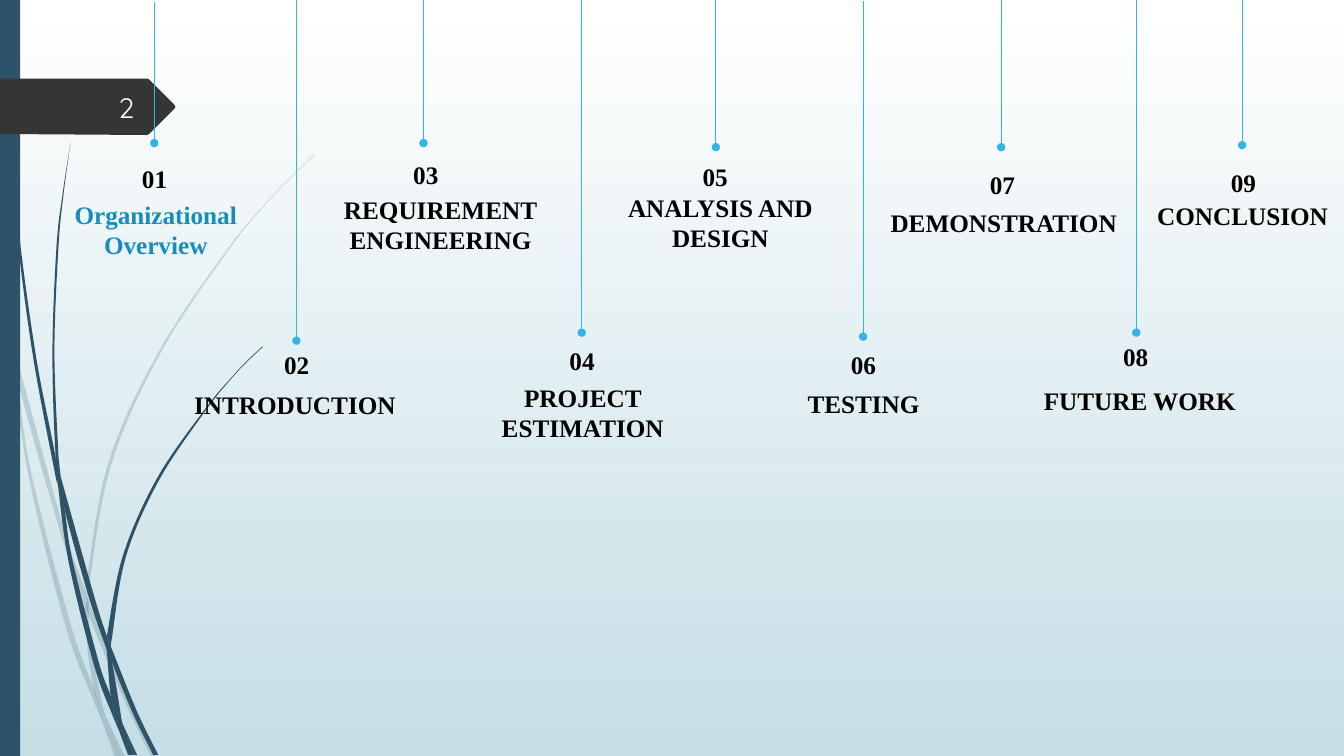
from lxml import etree
from pptx import Presentation
from pptx import util as u
from pptx.dml.color import RGBColor
from pptx.enum import shapes, text
from pptx.oxml import ns

HUES = {"top": "FFFFFF", "base": "C5DEE5", "navy": "2E5369", "tag": "353535",
        "pin": "31B4E6", "title": "178DBB", "ink": "000000", "page": "FEFFFF"}
SERIF = "Times New Roman"

PALE = [
    [[(.11, 3.5), (.09, 3.22), (0, 2.82)], [(0, 2.99), (.1, 3.44), (.11, 3.5)]],
    [[(.14, 3.45), (.17, 3.76), (.58, 5.22), (.84, 5.99)], [(.85, 5.86), (.62, 5.2), (.14, 3.45)]],
    [[(.88, 5.96), (.88, 6.1), (1.23, 6.94), (1.5, 7.51)],
     [(1.55, 7.51), (1.27, 6.92), (.92, 6.07), (.88, 5.96)]],
    [[(1.19, 7.51)], [(1.24, 7.51), (1.05, 7.11)]],
    [[(.11, 3.5), (.28, 4.7), (.65, 6.21), (.92, 6.93), (1.01, 7.14)],
     [(.99, 7.07), (.93, 6.83), (.7, 6.19), (.31, 4.69), (.17, 3.76), (.11, 3.5)]],
    [[(.84, 5.99), (.87, 6.46), (.93, 6.83), (.96, 6.92), (1.05, 7.11)],
     [(1.03, 7.06), (.91, 6.46), (.88, 6.1), (.84, 5.99)]],
    [[(3.12, 1.53), (2.89, 1.75), (2.68, 1.97), (2.28, 2.44), (1.58, 3.48), (1.07, 4.61),
      (.85, 5.84)],
     [(.88, 5.96), (.88, 5.84), (1.1, 4.62), (1.6, 3.49), (2.29, 2.45), (2.68, 1.98),
      (2.9, 1.75), (3.12, 1.54)]],
    [[(1.01, 7.14), (1.14, 7.51)], [(1.19, 7.51), (1.01, 7.14)]],
    [[(.85, 5.86), (.84, 5.99), (.88, 6.1)], [(.88, 5.96)]],
    [[(.93, 6.83), (.99, 7.07), (1.01, 7.14), (1.19, 7.51)],
     [(1.19, 7.51), (1.05, 7.11), (.96, 6.92), (.93, 6.83)]],
]
DARK = [
    [[(.03, 0), (.04, .48), (.07, 1.1), (.17, 2.33), (.33, 3.55), (.56, 4.77)],
     [(.57, 4.81), (.55, 4.53), (.36, 3.55), (.19, 2.32), (.08, 1.09), (.05, .48), (.04, 0)]],
    [[(.6, 4.72), (.64, 5.05), (.88, 5.92), (1.06, 6.45)], [(1.06, 6.31), (.93, 5.9), (.6, 4.72)]],
    [[(1.1, 6.41), (1.11, 6.56), (1.32, 7.08), (1.52, 7.49)],
     [(1.57, 7.49), (1.36, 7.06), (1.13, 6.49), (1.1, 6.41)]],
    [[(.57, 4.77), (.68, 5.57), (.93, 6.59), (1.11, 7.08), (1.17, 7.22)],
     [(1.16, 7.17), (1.1, 6.91), (.98, 6.57), (.72, 5.56), (.64, 5.05), (.57, 4.77)]],
    [[(.7, 1.41), (.62, 1.93), (.56, 2.45), (.52, 3.49), (.55, 4.49), (.6, 4.72)],
     [(.58, 4.53), (.54, 3.49), (.58, 2.45), (.63, 1.93), (.7, 1.41)]],
    [[(1.33, 7.49)], [(1.36, 7.49), (1.22, 7.19)]],
    [[(.55, 4.49), (.57, 4.77), (.64, 5.05)], [(.6, 4.72), (.55, 4.49)]],
    [[(2.6, 3.44), (2.45, 3.58), (2.31, 3.73), (2.04, 4.05), (1.56, 4.74), (1.22, 5.51),
      (1.06, 6.31)],
     [(1.1, 6.41), (1.11, 6.33), (1.25, 5.52), (1.58, 4.76), (2.05, 4.06), (2.31, 3.74),
      (2.45, 3.59), (2.61, 3.44)]],
    [[(1.17, 7.22), (1.27, 7.49)], [(1.31, 7.49), (1.17, 7.22)]],
    [[(1.06, 6.45), (1.1, 6.91), (1.16, 7.06), (1.22, 7.19)],
     [(1.21, 7.16), (1.11, 6.56), (1.06, 6.45)]],
    [[(1.06, 6.31), (1.06, 6.45), (1.11, 6.56)], [(1.1, 6.41)]],
    [[(1.1, 6.91), (1.16, 7.17), (1.17, 7.22), (1.3, 7.49)],
     [(1.33, 7.49), (1.22, 7.19), (1.16, 7.06), (1.1, 6.91)]],
]
TAG = [[(0, .78)], [(1.46, .78)], [(1.48, .79)], [(1.73, 1.04), (1.74, 1.06), (1.73, 1.08)],
       [(1.48, 1.33)], [(1.46, 1.34)], [(0, 1.33)]]

STEPS = [
    ("01", 1.53, 1.42, .02, (1.31, 1.57), None, None),
    ("02", 2.94, 3.38, -.03, (2.72, 3.42), "INTRODUCTION", (1.53, 3.49, 2.79, .77)),
    ("03", 4.2, 1.42, -.04, (4, 1.53), "REQUIREMENT\nENGINEERING", (3.2, 1.86, 2.34, .77)),
    ("04", 5.77, 3.3, -.02, (5.55, 3.38), "PROJECT ESTIMATION", (4.46, 3.72, 2.64, .77)),
    ("05", 7.1, 1.46, 0, (6.87, 1.55), "ANALYSIS AND DESIGN", (6.08, 2.19, 2.13, .42)),
    ("06", 8.56, 3.34, .01, (8.34, 3.42), "TESTING", (7.5, 3.83, 2.13, .42)),
    ("07", 9.93, 1.46, 0, (9.72, 1.63), "DEMONSTRATION", (8.61, 2.04, 2.69, .42)),
    ("08", 11.27, 3.3, -.02, (11.04, 3.34), "FUTURE WORK", (10.24, 3.8, 2.13, .42)),
    ("09", 12.32, 1.44, -.02, (12.11, 1.61), "CONCLUSION", (11.26, 1.97, 2.13, .42)),
]


def hue(name):
    """Return a named colour."""
    return RGBColor.from_string(HUES[name])


def inch(box):
    """Turn plain numbers into lengths."""
    return [u.Inches(v) for v in box]


def paint(shape, name, alpha=None):
    """Give a shape a flat fill with no line or shadow."""
    shape.shadow.inherit = False
    shape.line.fill.background()
    shape.fill.solid()
    shape.fill.fore_color.rgb = hue(name)
    if alpha:
        tint = shape._element.spPr.find(".//" + ns.qn("a:srgbClr"))
        etree.SubElement(tint, ns.qn("a:alpha")).set("val", str(alpha * 1000))


def write(shape, words, name="ink", font=SERIF, size=18, bold=True,
          align=text.PP_ALIGN.CENTER, anchor=text.MSO_ANCHOR.BOTTOM, inset=.1):
    """Set and format the text of a shape."""
    frame = shape.text_frame
    frame.text = words
    frame.word_wrap = True
    frame.auto_size = text.MSO_AUTO_SIZE.NONE
    frame.vertical_anchor = anchor
    frame.margin_left = frame.margin_right = u.Inches(.1)
    frame.margin_top = frame.margin_bottom = u.Inches(inset)
    for para in frame.paragraphs:
        para.alignment = align
        for run in para.runs:
            run.font.name, run.font.size, run.font.bold = font, u.Pt(size), bold
            run.font.color.rgb = hue(name)


def bend(shape, sides):
    """Turn the lines along each side into smooth curves."""
    marks = list(shape._element.iter(ns.qn("a:moveTo"), ns.qn("a:lnTo")))
    dots = [(int(m[0].get("x")), int(m[0].get("y"))) for m in marks]
    start = 0
    for side in sides:
        run = dots[start:start + len(side)]
        ends = [run[0], *run, run[-1]]
        for i in range(1, len(run)):
            a, b, c, d = ends[i - 1:i + 3]
            grips = [[q + (r - p) / 6 for p, q, r in zip(a, b, c)],
                     [r - (s - q) / 6 for q, r, s in zip(b, c, d)], c]
            line = marks[start + i]
            curve = etree.Element(ns.qn("a:cubicBezTo"))
            for x, y in grips:
                etree.SubElement(curve, ns.qn("a:pt"), x=str(round(x)), y=str(round(y)))
            line.getparent().replace(line, curve)
        start += len(side)


def trace(slide, sides, name, alpha=None):
    """Draw an outline whose sides curve and meet at corners."""
    dots = [inch(dot) for side in sides for dot in side]
    pen = slide.shapes.build_freeform(*dots[0])
    pen.add_line_segments(dots[1:])
    shape = pen.convert_to_shape()
    bend(shape, sides)
    paint(shape, name, alpha)


def edge(slide, box):
    """Draw the grass, the edge strip and the page tag."""
    left, top, wide, high = box
    for blades, alpha in ((PALE, 20), (DARK, None)):
        for sides in blades:
            trace(slide, sides, "navy", alpha)
    strip = slide.shapes.add_shape(shapes.MSO_SHAPE.RECTANGLE, *inch((left, top, wide, high)))
    paint(strip, "navy")
    trace(slide, TAG, "tag")
    page = slide.shapes.add_textbox(*inch((left + .58, top + .86, .85, .4)))
    write(page, "2", "page", "Quicksand", 20, False,
          text.PP_ALIGN.RIGHT, text.MSO_ANCHOR.MIDDLE, .05)


def head(slide, box):
    """Place the slide title above the grass."""
    title = slide.shapes.title
    title.left, title.top, title.width, title.height = inch(box)
    write(title, "Organizational Overview", "title")
    slide.shapes._spTree.append(title._element)


def pin(slide, x, y, end):
    """Hang a line with a round end from the top edge."""
    line = slide.shapes.add_connector(shapes.MSO_CONNECTOR.STRAIGHT, *inch((x, y, x, end)))
    line.line.color.rgb = hue("pin")
    line.line.width = u.Pt(.75)
    etree.SubElement(line.line._get_or_add_ln(), ns.qn("a:headEnd")).set("type", "oval")
    etree.SubElement(line._element.spPr, ns.qn("a:effectLst"))


def step(slide, num, x, y, end, spot, label, box):
    """Draw one numbered step of the agenda."""
    pin(slide, x, y, end)
    mark = slide.shapes.add_textbox(*inch((*spot, .46, .4)))
    write(mark, num, align=text.PP_ALIGN.LEFT, anchor=text.MSO_ANCHOR.TOP, inset=.05)
    if label:
        write(slide.shapes.add_textbox(*inch(box)), label)


def main():
    """Build the agenda slide."""
    deck = Presentation()
    deck.slide_width, deck.slide_height = inch((13.33, 7.5))
    slide = deck.slides.add_slide(deck.slide_layouts[5])
    fill = slide.background.fill
    fill.gradient()
    fill.gradient_angle = 270
    for stop, name, place in zip(fill.gradient_stops, ("top", "base"), (0, 1)):
        stop.color.rgb = hue(name)
        stop.position = place
    edge(slide, (0, 0, .2, 7.5))
    head(slide, (.44, 2.22, 2.21, .46))
    for item in STEPS:
        step(slide, *item)
    deck.save("out.pptx")


main()
